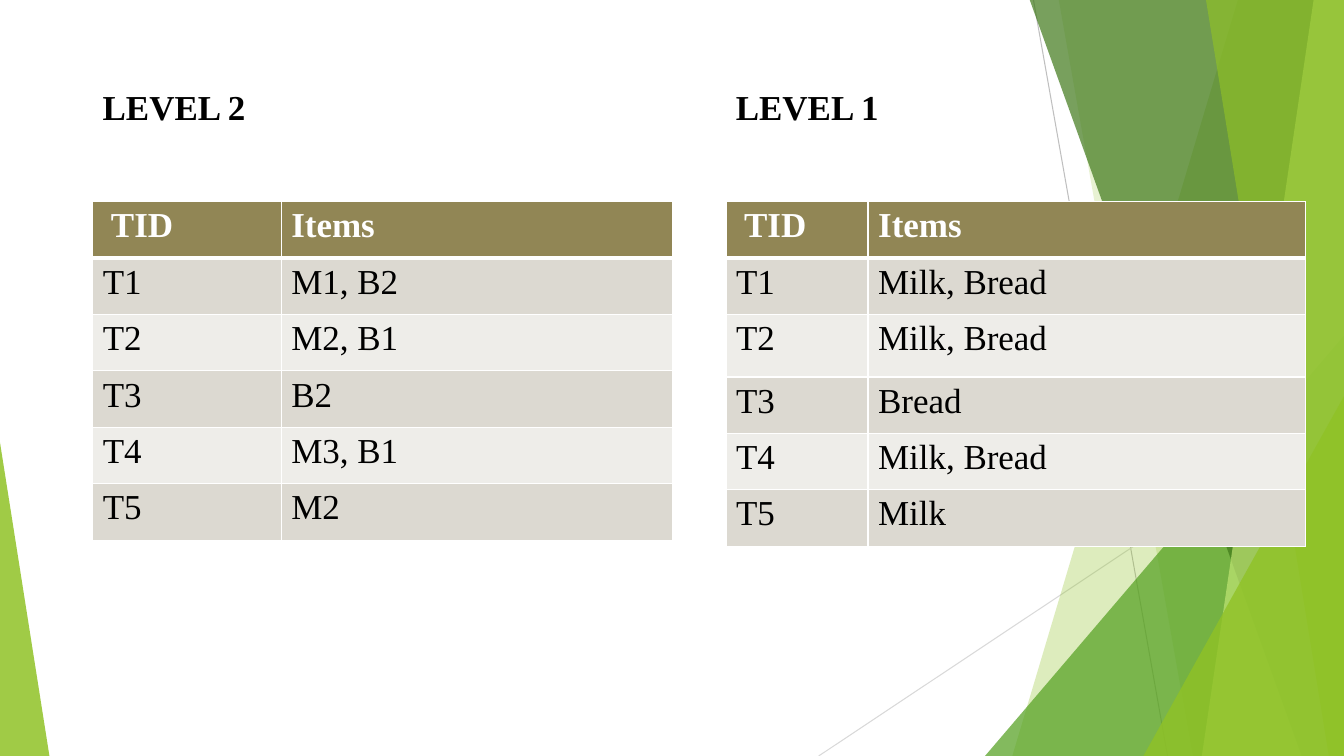
import pptx
import pptx.util
import pptx.dml.color
import pptx.enum.shapes
import pptx.oxml.ns
import lxml.etree
from dataclasses import dataclass

Inches, Pt = pptx.util.Inches, pptx.util.Pt


@dataclass(frozen=True)
class Theme:
    font: str = "Times New Roman"
    size: int = 25
    ink: str = "000000"
    white: str = "FFFFFF"
    header: str = "918655"
    bands: tuple = ("DCD9D1", "EEEDE9")
    border: int = 1
    header_rule: int = 3
    ray_width: float = 0.75


THEME = Theme()
WIDTH, HEIGHT, BLEED = 13.33, 7.5, -0.01

LEVELS = [
    {"heading": "LEVEL 2", "left": 0.92, "columns": (1.87, 3.88),
     "heights": (0.56,) * 6,
     "rows": [(" TID", "Items"), ("T1", "M1, B2"), ("T2", "M2, B1"),
              ("T3", "B2"), ("T4", "M3, B1"), ("T5", "M2")]},
    {"heading": "LEVEL 1", "left": 7.2, "columns": (1.41, 4.34),
     "heights": (0.56, 0.56, 0.62, 0.56, 0.56, 0.56),
     "rows": [(" TID", "Items"), ("T1", "Milk, Bread"), ("T2", "Milk, Bread"),
              ("T3", "Bread"), ("T4", "Milk, Bread"), ("T5", "Milk")]},
]
HEADING_TOP, HEADING_WIDTH, HEADING_HEIGHT = 0.8, 1.86, 0.52
TABLE_TOP = 2

# Rays: start, end, colour
RAYS = [((10.25, 0), (11.58, HEIGHT), "BFBFBF"),
        ((WIDTH, 4.03), (8.12, HEIGHT), "D9D9D9")]

# Bands reach the right edge: top-left x, bottom-left x, colour, opacity %
# Wedges stand on the bottom edge: left, top, width, apex, colour, opacity %
FACETS = [
    ("band", (12.28, 10.04), "90C226", 30),
    ("band", (10.5, 11.83), "90C226", 20),
    ("wedge", (9.77, 3.33, 3.56, 1), "54A021", 72),
    ("band", (10.21, 12.91), "3F7819", 70),
    ("band", (13.03, 11.92), "C0E474", 70),
    ("band", (11.96, 13.18), "90C226", 65),
    ("wedge", (11.34, 3.93, 1.99, 1), "90C226", 80),
    ("wedge", (0, 4.39, 0.49, 0), "90C226", 85),
]


def rgb(colour):
    return pptx.dml.color.RGBColor.from_string(colour)


def add_element(parent, tag, **attributes):
    return lxml.etree.SubElement(parent, pptx.oxml.ns.qn(tag), attributes)


def add_ray(slide, start, end, colour):
    ray = slide.shapes.add_connector(
        pptx.enum.shapes.MSO_CONNECTOR.STRAIGHT, *map(Inches, start + end))
    ray.line.color.rgb = rgb(colour)
    ray.line.width = Pt(THEME.ray_width)
    add_element(ray._element.spPr, "a:effectLst")


def add_band(slide, top_x, bottom_x):
    outline = slide.shapes.build_freeform(Inches(top_x), Inches(BLEED))
    corners = [(WIDTH, BLEED), (WIDTH, HEIGHT), (bottom_x, HEIGHT)]
    outline.add_line_segments([(Inches(x), Inches(y)) for x, y in corners], close=True)
    return outline.convert_to_shape()


def add_wedge(slide, left, top, width, apex):
    wedge = slide.shapes.add_shape(
        pptx.enum.shapes.MSO_SHAPE.ISOSCELES_TRIANGLE,
        *map(Inches, (left, top, width, HEIGHT - top)))
    wedge.adjustments[0] = apex
    return wedge


def add_facet(slide, kind, geometry, colour, opacity):
    facet = {"band": add_band, "wedge": add_wedge}[kind](slide, *geometry)
    facet.shadow.inherit = False
    facet.line.fill.background()
    facet.fill.solid()
    facet.fill.fore_color.rgb = rgb(colour)
    tint = facet._element.spPr.find(".//" + pptx.oxml.ns.qn("a:srgbClr"))
    add_element(tint, "a:alpha", val=str(opacity * 1000))


def add_run(frame, text, colour, bold):
    run = frame.paragraphs[0].add_run()
    run.text = text
    run.font.name = THEME.font
    run.font.size = Pt(THEME.size)
    run.font.bold = bold
    run.font.color.rgb = rgb(colour)


def set_borders(cell, row):
    """Draw white cell edges, heavier where the header meets the body."""
    widths = {edge: THEME.border for edge in ("a:lnL", "a:lnR", "a:lnT", "a:lnB")}
    if row < 2:
        widths["a:lnB" if row == 0 else "a:lnT"] = THEME.header_rule
    properties = cell._tc.get_or_add_tcPr()
    for edge, width in widths.items():
        line = add_element(properties, edge, w=str(Pt(width)))
        add_element(add_element(line, "a:solidFill"), "a:srgbClr", val=THEME.white)


def add_heading(slide, level):
    heading = slide.shapes.add_textbox(
        *map(Inches, (level["left"], HEADING_TOP, HEADING_WIDTH, HEADING_HEIGHT)))
    heading.text_frame.word_wrap = True
    add_run(heading.text_frame, level["heading"], THEME.ink, True)


def add_transactions(slide, level):
    rows, columns, heights = level["rows"], level["columns"], level["heights"]
    transactions = slide.shapes.add_table(
        len(rows), len(columns),
        *map(Inches, (level["left"], TABLE_TOP, sum(columns), sum(heights)))).table
    for column, width in zip(transactions.columns, columns):
        column.width = Inches(width)
    for r, (values, height) in enumerate(zip(rows, heights)):
        transactions.rows[r].height = Inches(height)
        is_header = r == 0
        for c, value in enumerate(values):
            cell = transactions.cell(r, c)
            set_borders(cell, r)
            cell.fill.solid()
            cell.fill.fore_color.rgb = rgb(
                THEME.header if is_header else THEME.bands[(r - 1) % 2])
            add_run(cell.text_frame, value,
                    THEME.white if is_header else THEME.ink, is_header)


def main():
    deck = pptx.Presentation()
    deck.slide_width, deck.slide_height = Inches(WIDTH), Inches(HEIGHT)
    slide = deck.slides.add_slide(deck.slide_layouts[6])
    for ray in RAYS:
        add_ray(slide, *ray)
    for facet in FACETS:
        add_facet(slide, *facet)
    for level in LEVELS:
        add_transactions(slide, level)
        add_heading(slide, level)
    deck.save("out.pptx")


if __name__ == "__main__":
    main()
